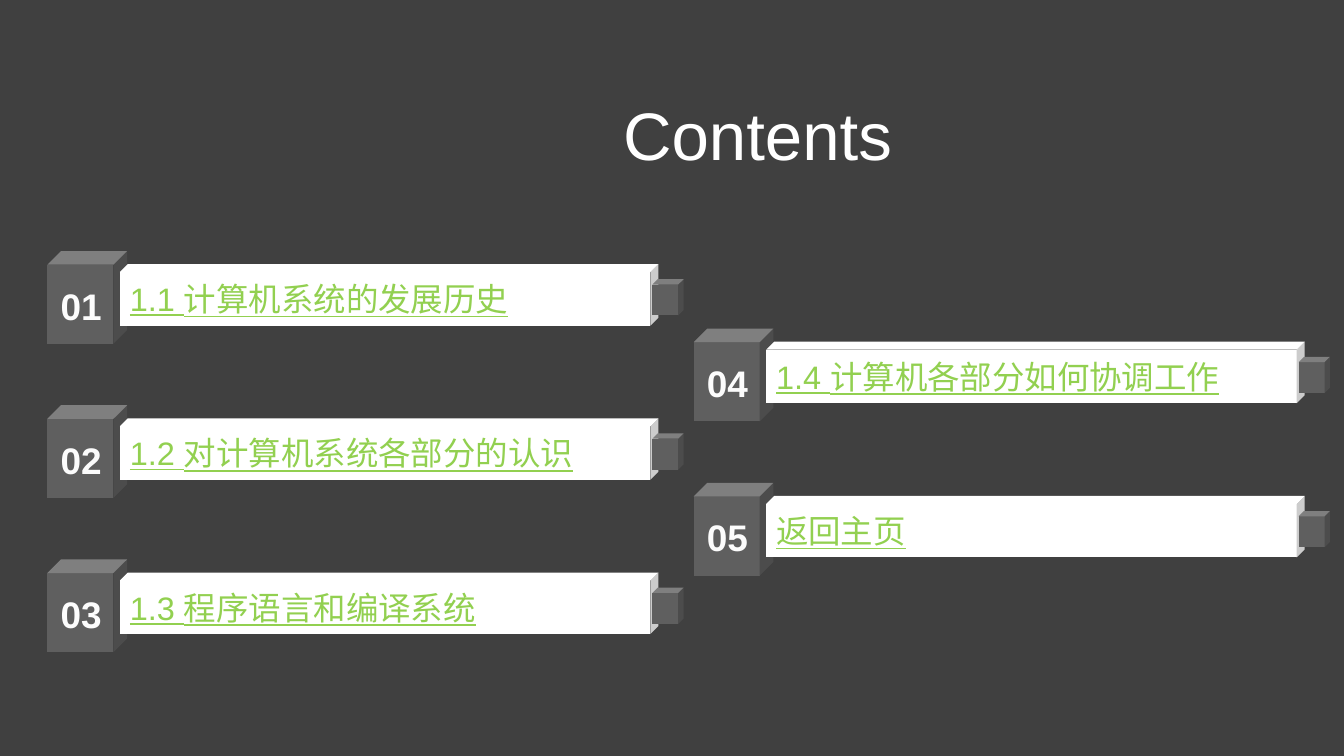
import pptx
import pptx.util
import pptx.dml.color
import pptx.enum.shapes
import pptx.enum.text

Inches = pptx.util.Inches
Align = pptx.enum.text.PP_ALIGN
Anchor = pptx.enum.text.MSO_ANCHOR

COLORS = {"back": "404040", "block": "5F5F5F", "bar": "FFFFFF",
          "number": "FCFCFC", "link": "92D050", "title": "FFFFFF"}
TOPICS = ["1.1 计算机系统的发展历史", "1.2 对计算机系统各部分的认识",
          "1.3 程序语言和编译系统", "1.4 计算机各部分如何协调工作", "返回主页"]
COLUMNS = [(0.47, 2.49, TOPICS[:3]), (6.88, 3.26, TOPICS[3:])]
PITCH = 1.53


def color(name):
    """Return the named colour."""
    return pptx.dml.color.RGBColor.from_string(COLORS[name])


def write(frame, text, size, tint, align=Align.LEFT, bold=False, underline=False):
    """Put one formatted run into a text frame."""
    para = frame.paragraphs[0]
    para.alignment = align
    run = para.add_run()
    run.text = text
    font = run.font
    font.name = "Arial"
    font.size = pptx.util.Pt(size)
    font.bold = bold
    font.underline = underline
    font.color.rgb = color(tint)


def cube(slide, left, top, width, height, depth, tint):
    """Draw a plain cube and return it."""
    shape = slide.shapes.add_shape(
        pptx.enum.shapes.MSO_SHAPE.CUBE,
        Inches(left), Inches(top), Inches(width), Inches(height))
    shape.adjustments[0] = depth
    shape.shadow.inherit = False
    shape.fill.solid()
    shape.fill.fore_color.rgb = color(tint)
    shape.line.fill.background()
    return shape


def entry(slide, left, top, number, topic):
    """Draw one numbered topic from its top left corner."""
    cube(slide, left, top, 0.79, 0.92, 0.171, "block")
    label = slide.shapes.add_textbox(
        Inches(left), Inches(top + 0.27), Inches(0.67), Inches(0.54)).text_frame
    label.word_wrap = True
    write(label, f"{number:02}", 26.4, "number", Align.CENTER, bold=True)
    frame = cube(slide, left + 0.72, top + 0.13, 5.34, 0.61, 0.129, "bar").text_frame
    frame.word_wrap = True
    frame.vertical_anchor = Anchor.MIDDLE
    frame.margin_left = Inches(0.1)
    frame.margin_right = Inches(0.26)
    write(frame, topic, 23.2, "link", underline=True)
    cube(slide, left + 6, top + 0.28, 0.31, 0.36, 0.171, "block")


def heading(slide, left, top, width, height):
    """Place the slide title in its box."""
    title = slide.shapes.title
    title.left, title.top = Inches(left), Inches(top)
    title.width, title.height = Inches(width), Inches(height)
    frame = title.text_frame
    frame.word_wrap = False
    frame.vertical_anchor = Anchor.MIDDLE
    write(frame, "Contents", 48, "title")


def contents(deck):
    """Build the contents slide."""
    slide = deck.slides.add_slide(deck.slide_layouts[5])
    fill = slide.background.fill
    fill.solid()
    fill.fore_color.rgb = color("back")
    heading(slide, 6.08, 0.86, 2.96, 0.94)
    number = 1
    for left, top, topics in COLUMNS:
        for row, topic in enumerate(topics):
            entry(slide, left, top + row * PITCH, number, topic)
            number += 1


def main():
    """Make and save the deck."""
    deck = pptx.Presentation()
    deck.slide_width = Inches(13.33)
    deck.slide_height = Inches(7.5)
    contents(deck)
    deck.save("out.pptx")


if __name__ == "__main__":
    main()
